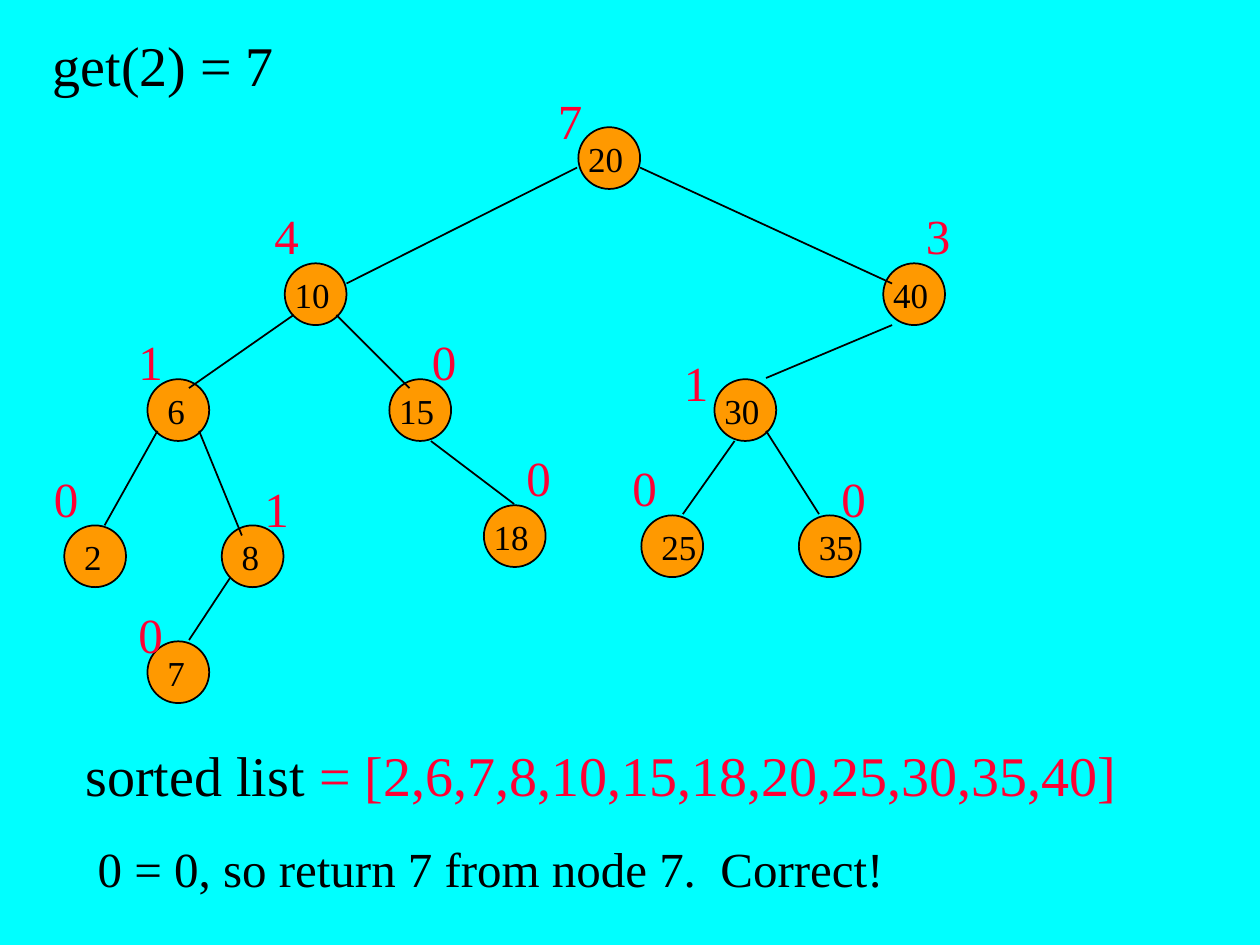
"""Build a slide with an indexed binary search tree and its sorted list."""
from lxml import etree
from pptx import Presentation
from pptx.dml.color import RGBColor
from pptx.enum.shapes import MSO_CONNECTOR, MSO_SHAPE
from pptx.enum.text import MSO_AUTO_SIZE
from pptx.oxml.ns import qn
from pptx.util import Inches, Pt

OVAL = MSO_SHAPE.OVAL
LINE = MSO_CONNECTOR.STRAIGHT
GROW = MSO_AUTO_SIZE.SHAPE_TO_FIT_TEXT
FONT = "Times New Roman"
COLOR = {"back": "00FFFF", "node": "FF9900", "ink": "000000", "red": "FF0033"}
SIZE = 0.49

# key, node left and top, key shift, left-size label left and top
NODES = [
    ("20", 4.59, 1.01, -0.02, 4.33, 0.67),
    ("10", 2.26, 2.09, -0.02, 2.08, 1.58),
    ("40", 7.01, 2.09, -0.02, 7.25, 1.58),
    ("6", 1.17, 3.01, 0.06, 1, 2.58),
    ("15", 3.09, 3.01, -0.02, 3.33, 2.58),
    ("30", 5.67, 3.01, -0.02, 5.33, 2.75),
    ("2", 0.51, 4.17, 0.06, 0.33, 3.67),
    ("8", 1.76, 4.17, 0.06, 2, 3.75),
    ("18", 3.84, 4.01, -0.02, 4.08, 3.5),
    ("25", 5.09, 4.09, 0.06, 4.92, 3.58),
    ("35", 6.34, 4.09, 0.06, 6.58, 3.67),
    ("7", 1.17, 5.09, 0.06, 1, 4.75),
]
COUNTS = {"20": "7", "10": "4", "40": "3", "6": "1", "30": "1", "8": "1"}
EDGES = [
    (4.58, 1.33, 2.75, 2.25), (5.08, 1.33, 7.08, 2.25),
    (2.33, 2.5, 1.5, 3.08), (2.67, 2.5, 3.25, 3.08),
    (7.08, 2.58, 6.08, 3), (1.25, 3.42, 0.83, 4.17),
    (1.58, 3.42, 1.92, 4.25), (3.42, 3.5, 4.08, 4),
    (5.83, 3.5, 5.42, 4.08), (6.08, 3.42, 6.5, 4.08),
    (1.83, 4.58, 1.5, 5.08),
]
TITLE = [(32, 0, [("get(2) = 7", "ink")])]
NOTES = [
    (32, 20, [("sorted list", "ink"),
              (" = [2,6,7,8,10,15,18,20,25,30,35,40]", "red")]),
    (28, 17.5, [(" 0 = 0, so return 7 from node 7.  Correct!", "ink")]),
]


def rgb(name):
    return RGBColor.from_string(COLOR[name])


def add_text(slide, box, paras, wrap=True):
    frame = slide.shapes.add_textbox(*map(Inches, box)).text_frame
    frame.word_wrap = wrap
    frame.auto_size = GROW
    for i, (size, gap, runs) in enumerate(paras):
        para = frame.add_paragraph() if i else frame.paragraphs[0]
        para.space_before = Pt(gap)
        para.font.size = Pt(size)
        para.font.name = FONT
        for words, color in runs:
            run = para.add_run()
            run.text = words
            run.font.color.rgb = rgb(color)


def add_node(slide, left, top):
    node = slide.shapes.add_shape(OVAL, *map(Inches, (left, top, SIZE, SIZE)))
    node.shadow.inherit = False
    node.fill.solid()
    node.fill.fore_color.rgb = rgb("node")
    node.line.color.rgb = rgb("ink")
    node.line.width = Pt(1)


def add_edge(slide, ends):
    edge = slide.shapes.add_connector(LINE, *map(Inches, ends))
    edge.line.color.rgb = rgb("ink")
    edge.line.width = Pt(1)
    etree.SubElement(edge._element.spPr, qn("a:effectLst"))


def main():
    deck = Presentation()
    deck.slide_width, deck.slide_height = Inches(10), Inches(7.5)
    slide = deck.slides.add_slide(deck.slide_layouts[6])
    slide.background.fill.solid()
    slide.background.fill.fore_color.rgb = rgb("back")
    for key, left, top, *_ in NODES:
        add_node(slide, left, top)
    for ends in EDGES:
        add_edge(slide, ends)
    for key, left, top, shift, x, y in NODES:
        wide = 0.2 + 0.14 * len(key)
        add_text(slide, (left + shift, top + 0.03, wide, 0.43),
                 [(20, 0, [(key, "ink")])], False)
        add_text(slide, (x, y, 0.25, 0.57),
                 [(28, 17.5, [(COUNTS.get(key, "0"), "red")])])
    add_text(slide, (0.58, 5.83, 9.08, 1.34), NOTES)
    add_text(slide, (0.32, 0.19, 1.96, 0.64), TITLE, False)
    deck.save("out.pptx")


if __name__ == "__main__":
    main()
